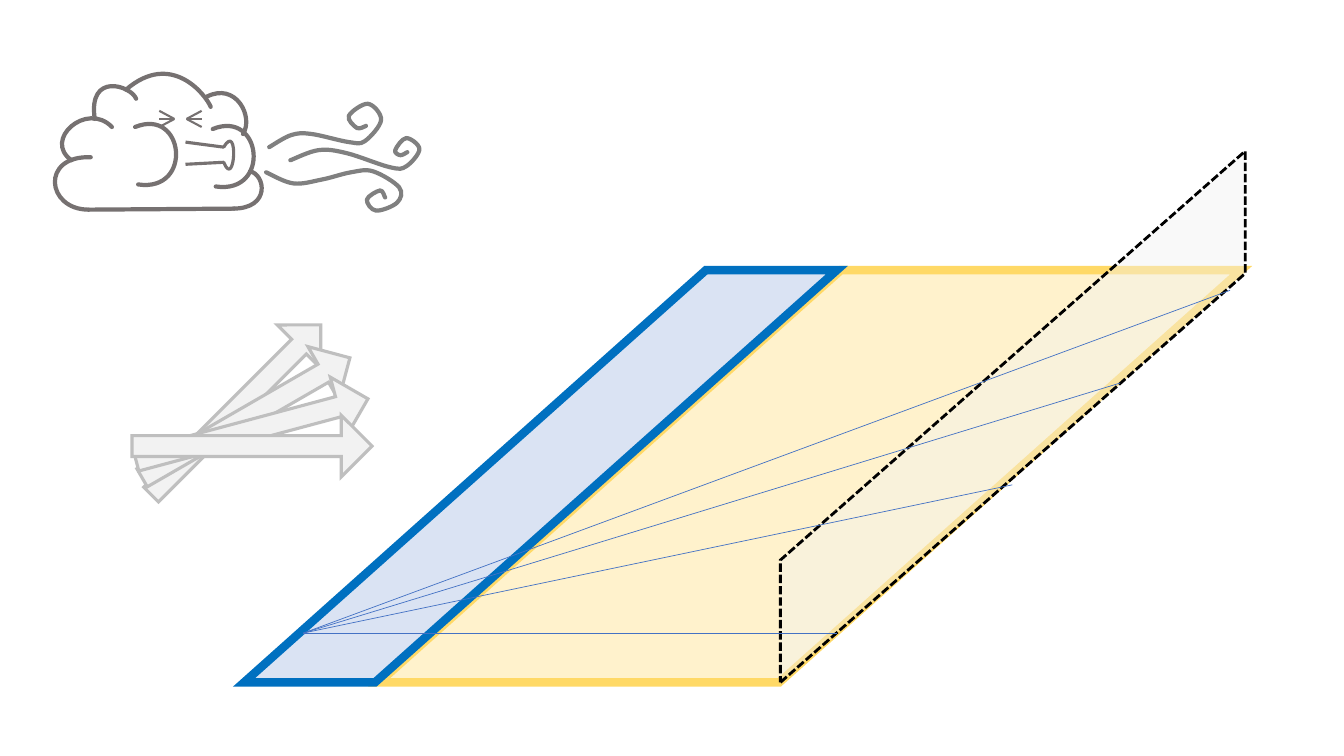
"""Build a slide of wind blowing over a field strip towards a vertical plane."""
from lxml import etree
from pptx import Presentation
from pptx.dml.color import RGBColor
from pptx.enum.dml import MSO_LINE
from pptx.enum.shapes import MSO_CONNECTOR, MSO_SHAPE
from pptx.oxml.ns import qn
from pptx.util import Inches, Pt

ARROW = MSO_SHAPE.RIGHT_ARROW
PARALLELOGRAM = MSO_SHAPE.PARALLELOGRAM
STRAIGHT = MSO_CONNECTOR.STRAIGHT
DASH = MSO_LINE.SQUARE_DOT

COLORS = {
    "field": "FFF2CC", "field_edge": "FFD966",
    "strip": "DAE3F3", "strip_edge": "0070C0",
    "pale": "F2F2F2", "arrow_edge": "BFBFBF",
    "plane_edge": "000000", "ray": "4472C4",
    "wind": "808080", "cloud": "767171",
}

GUSTS = [
    [(2.67, 1.46), (2.89, 1.34), (3.09, 1.33), (3.46, 1.41), (3.62, 1.4),
     (3.78, 1.19), (3.65, 1.03), (3.46, 1.15), (3.54, 1.27), (3.63, 1.25)],
    [(2.88, 1.59), (3.16, 1.49), (3.44, 1.52), (3.87, 1.66), (4.03, 1.65),
     (4.16, 1.48), (4.03, 1.37), (3.92, 1.49), (3.97, 1.54), (4.04, 1.51)],
    [(2.64, 1.71), (2.91, 1.82), (3.2, 1.78), (3.48, 1.71), (3.7, 1.7), (3.96, 1.86),
     (3.94, 2.01), (3.73, 2.09), (3.64, 1.98), (3.77, 1.89), (3.82, 1.96)],
]
PUFFS = [
    [(1.25, 0.89), (1.7, 0.5), (2.04, 0.94), (2.09, 1.06)],
    [(2.05, 0.96), (2.34, 0.81), (2.52, 1.16), (2.41, 1.33)],
    [(0.94, 1.18), (0.87, 0.71), (1.3, 0.85), (1.35, 0.98)],
    [(0.71, 1.59), (0.42, 1.39), (0.86, 1), (1.11, 1.26)],
    [(0.88, 2.08), (0.46, 2.08), (0.4, 1.54), (0.9, 1.56)],
    [(2.48, 1.7), (2.63, 1.73), (2.69, 2.07), (2.31, 2.07)],
]
CHEEK = [(2.11, 1.28), (2.6, 1.08), (2.69, 1.93), (2.14, 1.85)]
LIPS = [(2.22, 1.46), (2.37, 1.2), (2.33, 1.89), (2.22, 1.61)]
WIND_ARROWS = [(1.15, 3.76), (1.25, 3.84), (1.31, 3.96), (1.31, 4.12)]
RAY_START = (3.01, 6.28)
RAY_ENDS = [(8.3, 6.28), (10.04, 4.81), (11.11, 3.8), (12.2, 2.88)]


def bezier(points, t):
    """Return the point at t on a cubic curve."""
    weights = ((1 - t) ** 3, 3 * t * (1 - t) ** 2, 3 * t * t * (1 - t), t ** 3)
    return tuple(round(sum(w * p[i] for w, p in zip(weights, points))) for i in (0, 1))


def smooth(knots):
    """Return the control points of a smooth curve through the knots."""
    ends = [knots[0]] + knots + [knots[-1]]
    points = [knots[0]]
    for a, b, c, d in zip(ends, ends[1:], ends[2:], ends[3:]):
        points.append(tuple(q + (r - p) / 6 for p, q, r in zip(a, b, c)))
        points.append(tuple(q - (r - p) / 6 for p, q, r in zip(b, c, d)))
        points.append(c)
    return points


class Drawing:
    """Hold the style and the current slide."""

    def __init__(self, slide):
        """Start drawing on the slide."""
        self.slide = slide
        self.shapes = slide.shapes

    def color(self, name):
        """Return a named colour."""
        return RGBColor.from_string(COLORS[name])

    def outline(self, s, color, width):
        """Set the line of a shape."""
        s.line.color.rgb = self.color(color)
        s.line.width = Pt(width)

    def group(self):
        """Put the following elements in a new group."""
        self.shapes = self.slide.shapes.add_group_shape().shapes

    def ungroup(self):
        """Put the following elements straight on the slide."""
        self.shapes = self.slide.shapes

    def preset(self, kind, box, adjustments, fill, edge, width, rotation=0):
        """Add a filled preset shape with sharp corners."""
        s = self.shapes.add_shape(kind, *map(Inches, box))
        s.shadow.inherit = False
        for i, value in enumerate(adjustments):
            s.adjustments[i] = value
        s.rotation = rotation
        s.fill.solid()
        s.fill.fore_color.rgb = self.color(fill)
        self.outline(s, edge, width)
        miter = etree.SubElement(s.line._get_or_add_ln(), qn("a:miter"))
        miter.set("lim", "800000")
        return s

    def plane(self, box, adjustment):
        """Add the see-through dashed plane."""
        s = self.preset(PARALLELOGRAM, box, [adjustment], "pale", "plane_edge", 2, 270)
        s.line.dash_style = DASH
        s._element.spPr.find(qn("a:xfrm")).set("flipV", "1")
        color = s._element.spPr.find(qn("a:solidFill"))[0]
        etree.SubElement(color, qn("a:alpha")).set("val", "42000")

    def curve(self, points, color, width):
        """Add an open outline of joined cubic curves."""
        points = [(Inches(x), Inches(y)) for x, y in points]
        pieces = [points[i:i + 4] for i in range(0, len(points) - 1, 3)]
        builder = self.shapes.build_freeform(*points[0])
        builder.add_line_segments(
            [bezier(piece, n / 12) for piece in pieces for n in range(1, 13)], close=False)
        s = builder.convert_to_shape()
        outline = next(s._element.iter(qn("a:path")))
        for segment in outline.findall(qn("a:lnTo")):
            outline.remove(segment)
        for piece in pieces:
            segment = etree.SubElement(outline, qn("a:cubicBezTo"))
            for x, y in piece[1:]:
                pt = etree.SubElement(segment, qn("a:pt"))
                pt.set("x", str(x - s.left))
                pt.set("y", str(y - s.top))
        s.shadow.inherit = False
        s.fill.background()
        self.outline(s, color, width)
        s.line._get_or_add_ln().set("cap", "rnd")

    def line(self, start, end, color, width):
        """Add a straight line."""
        s = self.shapes.add_connector(STRAIGHT, *map(Inches, start + end))
        self.outline(s, color, width)
        etree.SubElement(s._element.spPr, qn("a:effectLst"))


def main():
    """Draw the slide and save it."""
    prs = Presentation()
    prs.slide_width, prs.slide_height = Inches(13.33), Inches(7.5)
    d = Drawing(prs.slides.add_slide(prs.slide_layouts[6]))

    d.preset(PARALLELOGRAM, (3.76, 2.68, 8.55, 4.09), [1.12], "field", "field_edge", 6)
    d.preset(PARALLELOGRAM, (2.42, 2.68, 5.88, 4.09), [1.12], "strip", "strip_edge", 6)

    d.group()
    for gust in GUSTS:
        d.curve(smooth(gust), "wind", 3)
    left_cheek = [(x - 0.77, y - 0.02) for x, y in CHEEK]
    for arc in PUFFS + [CHEEK, left_cheek]:
        d.curve(arc, "cloud", 3)
    d.curve(LIPS, "cloud", 2.25)
    for y, lip in ((1.41, LIPS[0]), (1.63, LIPS[-1])):
        d.line((1.84, y), lip, "cloud", 2.25)
    d.line((0.87, 2.08), (2.33, 2.07), "cloud", 3)
    for x, width in ((1.85, 0.15), (1.73, -0.15)):
        for rise in (-0.08, 0, 0.08):
            d.line((x + width, 1.18 + rise), (x, 1.18), "cloud", 1.5)
    d.ungroup()

    d.plane((7.41, 1.83, 5.27, 4.61), 0.88)
    for i, (x, y) in enumerate(WIND_ARROWS):
        d.preset(ARROW, (x, y, 2.38, 0.61), [0.34, 0.5], "pale", "arrow_edge", 2.25, 15 * (i - 3))
    for end in RAY_ENDS:
        d.line(RAY_START, end, "ray", 0.5)

    prs.save("out.pptx")


if __name__ == "__main__":
    main()
